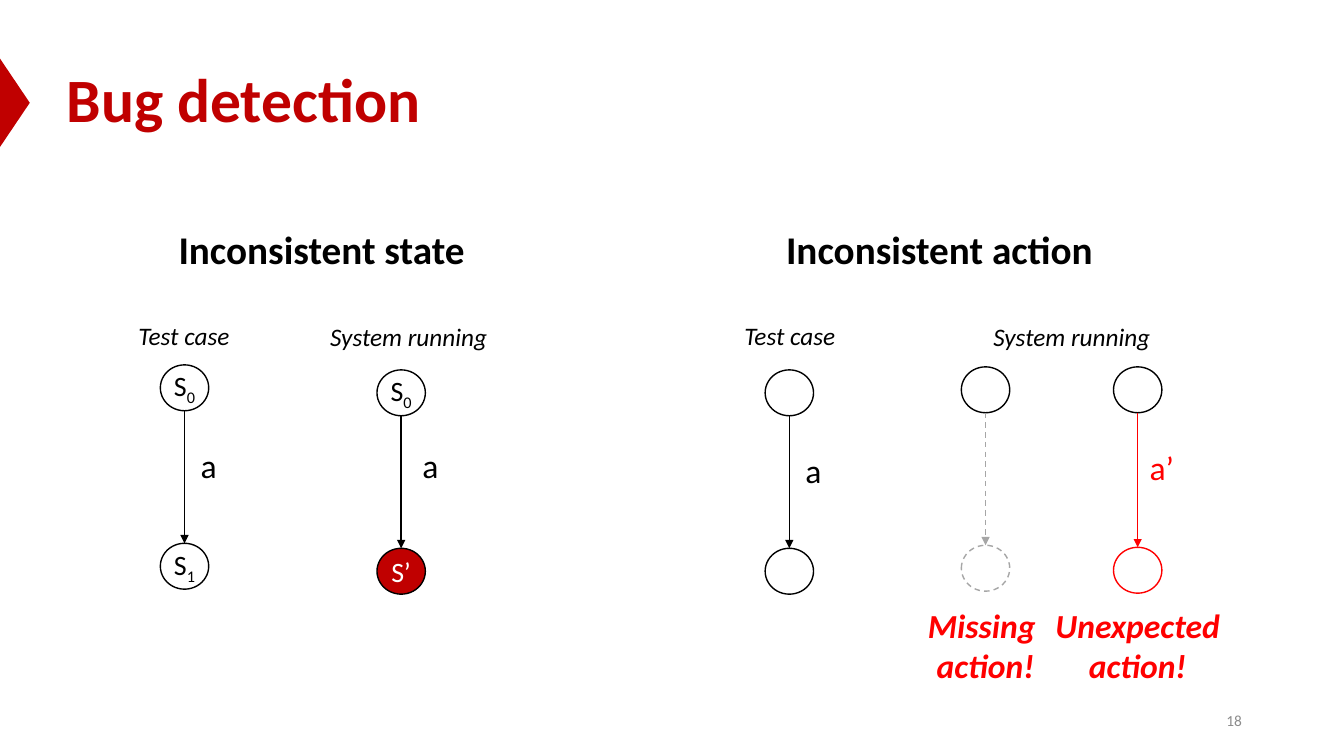
from lxml.etree import SubElement
from pptx import Presentation
from pptx.dml.color import RGBColor
from pptx.enum.dml import MSO_LINE
from pptx.enum.shapes import MSO_CONNECTOR, MSO_SHAPE
from pptx.enum.text import MSO_ANCHOR, PP_ALIGN
from pptx.oxml.ns import qn
from pptx.util import Inches, Pt

WIDTH, HEIGHT = Inches(13.333), Inches(7.5)
BLACK, WHITE, GREY, RED, DARK_RED = "000000", "FFFFFF", "A6A6A6", "FF0000", "C00000"
STATE_W, STATE_H = 3.6, 6.07


def col(n):
    """Length of n columns, each a hundredth of the slide's width."""
    return int(WIDTH * n / 100)


def row(n):
    """Length of n rows, each a hundredth of the slide's height."""
    return int(HEIGHT * n / 100)


def box(left, top, width, height):
    return col(left), row(top), col(width), row(height)


def paint(color_format, color):
    color_format.rgb = RGBColor.from_string(color)


def add_run(p, text, size, color=BLACK, bold=False, italic=False, subscript=False):
    r = p.add_run()
    r.text = text
    r.font.name = "Calibri"
    r.font.size = Pt(size)
    r.font.bold = bold
    r.font.italic = italic
    paint(r.font.color, color)
    if subscript:
        r._r.get_or_add_rPr().set("baseline", "-25000")


def add_text(s, place, lines, size, align=PP_ALIGN.CENTER, anchor=MSO_ANCHOR.TOP, **style):
    tf = s.shapes.add_textbox(*box(*place)).text_frame
    tf.word_wrap = True
    tf.vertical_anchor = anchor
    for i, line in enumerate(lines):
        p = tf.add_paragraph() if i else tf.paragraphs[0]
        p.alignment = align
        add_run(p, line, size, **style)


def style_line(line, color, dashed):
    paint(line.color, color)
    line.width = Pt(1)
    if dashed:
        line.dash_style = MSO_LINE.DASH


def add_state(s, center, top, name="", fill=WHITE, line=BLACK, dashed=False):
    """Circle named by a letter and, after an underscore, its subscript."""
    place = box(center - STATE_W / 2, top, STATE_W, STATE_H)
    sp = s.shapes.add_shape(MSO_SHAPE.OVAL, *place)
    sp.shadow.inherit = False
    sp.fill.solid()
    paint(sp.fill.fore_color, fill)
    style_line(sp.line, line, dashed)
    if name:
        tf = sp.text_frame
        tf.word_wrap = False
        tf.margin_left = tf.margin_right = tf.margin_top = tf.margin_bottom = 0
        p = tf.paragraphs[0]
        p.alignment = PP_ALIGN.CENTER
        color = BLACK if fill == WHITE else WHITE
        letter, _, index = name.partition("_")
        add_run(p, letter, 20, color)
        if index:
            add_run(p, index, 20, color, subscript=True)
    return sp


def add_arrow(s, center, top, target, color, dashed):
    cxn = s.shapes.add_connector(MSO_CONNECTOR.STRAIGHT, col(center), row(top),
                                 col(center), target.top)
    cxn.end_connect(target, 0)
    style_line(cxn.line, color, dashed)
    SubElement(cxn.line._get_or_add_ln(), qn("a:tailEnd"), type="triangle")
    SubElement(cxn._element.spPr, qn("a:effectLst"))


def add_transition(s, center, top, action="", names=("", ""), color=BLACK, fill=WHITE,
                   dashed=False, step=23.6, action_at=(0, 9.87)):
    """Two states, one step apart, with an arrow and its action between them."""
    add_state(s, center, top, names[0])
    target = add_state(s, center, top + step, names[1], fill, color, dashed)
    add_arrow(s, center, top + STATE_H, target, color, dashed)
    if action:
        dx, dy = action_at
        add_text(s, (center + dx, top + dy, STATE_W, 6.67), [action], 24, color=color)


def add_title(s, text):
    marker = s.shapes.add_shape(MSO_SHAPE.ISOSCELES_TRIANGLE, *box(-2.25, 11.6, 6.68, 4))
    marker.rotation = 90
    marker.shadow.inherit = False
    marker.fill.solid()
    paint(marker.fill.fore_color, DARK_RED)
    marker.line.fill.background()
    title = s.shapes.title
    title.left, title.top, title.width, title.height = box(4.2, 3.87, 95.8, 19.33)
    title.text_frame.vertical_anchor = MSO_ANCHOR.MIDDLE
    p = title.text_frame.paragraphs[0]
    p.alignment = PP_ALIGN.LEFT
    p.line_spacing = 0.9
    add_run(p, text, 44, DARK_RED, bold=True)


def add_headings(s, text, left, test_left, system_left):
    add_text(s, (left, 29.2, 25.2, 7.6), [text], 28, bold=True)
    add_text(s, (test_left, 41.73, 12.68, 5.33), ["Test case"], 18, italic=True)
    add_text(s, (system_left, 41.87, 13.5, 5.33), ["System running"], 18,
             align=PP_ALIGN.RIGHT, italic=True)


def add_verdict(s, center, lines):
    width = 17.48
    add_text(s, (center - width / 2, 79.33, width, 12.13), lines, 24,
             color=RED, bold=True, italic=True)


def main():
    prs = Presentation()
    prs.slide_width, prs.slide_height = WIDTH, HEIGHT
    s = prs.slides.add_slide(prs.slide_layouts[5])
    add_title(s, "Bug detection")
    add_text(s, (70.65, 92.67, 22.5, 5.33), ["18"], 11, align=PP_ALIGN.RIGHT,
             anchor=MSO_ANCHOR.MIDDLE, color="8C8C8C")

    add_headings(s, "Inconsistent state", 11.33, 7.35, 23.48)
    add_transition(s, 13.73, 48.27, "a", ("S_0", "S_1"))
    add_transition(s, 29.85, 48.93, "a", ("S_0", "S’"), fill=DARK_RED, action_at=(0.38, 9.2))

    add_headings(s, "Inconsistent action", 57.3, 52.43, 72.83)
    missing, unexpected = 73.33, 84.65
    add_transition(s, 58.73, 48.93, "a")
    add_transition(s, missing, 48.53, color=GREY, dashed=True)
    add_transition(s, unexpected, 48.53, "a’", color=RED, step=23.87)
    add_verdict(s, missing, ["Missing ", "action!"])
    add_verdict(s, unexpected, ["Unexpected action!"])
    prs.save("out.pptx")


if __name__ == "__main__":
    main()
